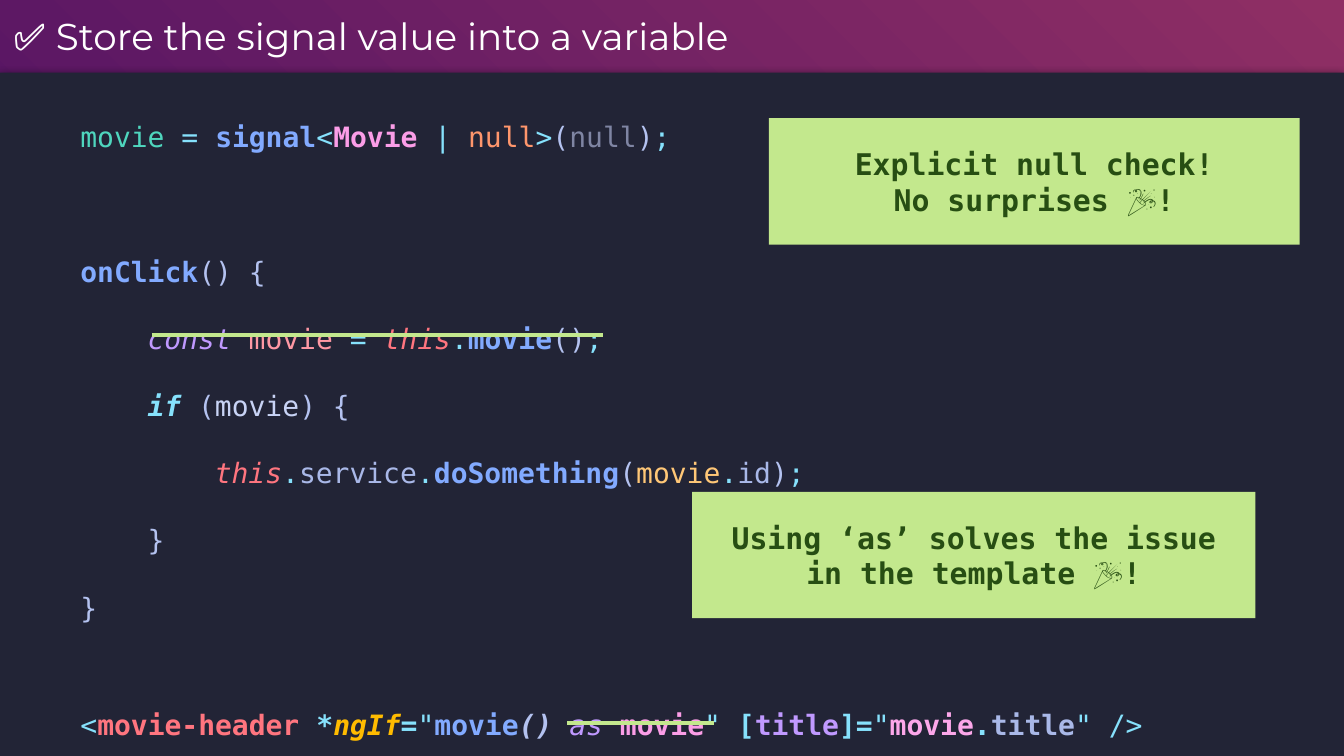
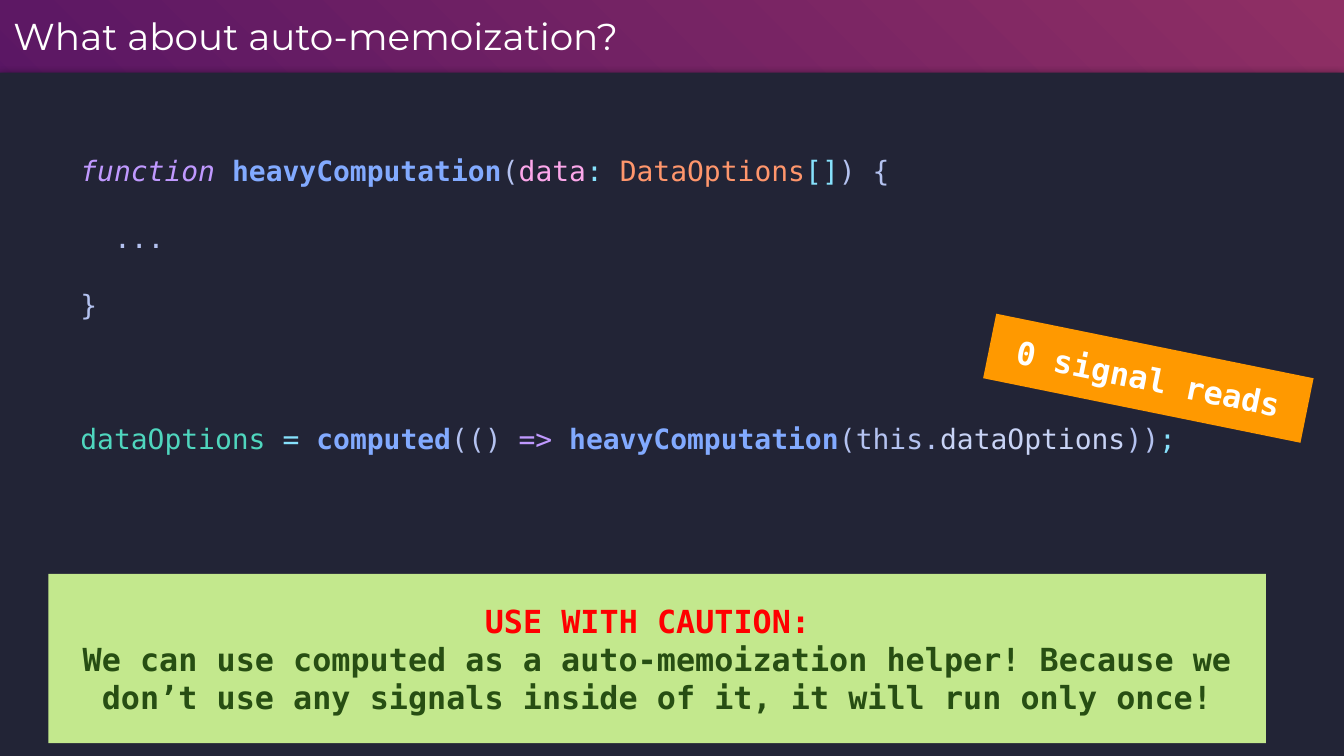
from lxml import etree
from pptx import Presentation
from pptx.dml.color import RGBColor
from pptx.enum.shapes import MSO_CONNECTOR, MSO_SHAPE
from pptx.enum.text import MSO_ANCHOR, MSO_AUTO_SIZE, PP_ALIGN
from pptx.oxml import parse_xml
from pptx.oxml.ns import nsdecls, qn
from pptx.util import Inches, Pt

RECTANGLE = MSO_SHAPE.RECTANGLE
STRAIGHT = MSO_CONNECTOR.STRAIGHT
TOP, MIDDLE = MSO_ANCHOR.TOP, MSO_ANCHOR.MIDDLE
LEFT, CENTER = PP_ALIGN.LEFT, PP_ALIGN.CENTER
NO_AUTOFIT = MSO_AUTO_SIZE.NONE

COLORS = {
    "white": "FFFFFF", "panel": "222436", "lime": "C3E88D", "forest": "274E13",
    "warning": "FF0000", "orange": "FF9900",
    # code tokens
    "teal": "4FD6BE", "cyan": "86E1FC", "blue": "82AAFF", "pink": "FB9DE7",
    "rose": "FCA7EA", "coral": "FF966C", "lavender": "B4C2F0", "pale": "C8D3F5",
    "grey": "7F85A3", "purple": "C099FF", "salmon": "FF98A4", "red": "FF757F",
    "steel": "A9B8E8", "yellow": "FFC777", "amber": "FFBB00",
}
GRADIENT = [(0, "F35C65"), (0, "8F2F64"), (64, "5D1864"), (100, "2B0163")]
TITLE_FONT, CODE_FONT = "Montserrat", "DejaVu Sans Mono"
WIDTH, BAND = 10, 0.54
HEIGHT = WIDTH * 9 / 16
MARGIN = 0.1
CODE_SIZE, CODE_LINE = 15, 36  # points; CODE_LINE is one double-spaced line


class Deck:
    """Shared style plus the slide being built."""

    def __init__(self):
        self.prs = Presentation()
        self.prs.slide_width = Inches(WIDTH)
        self.prs.slide_height = Inches(HEIGHT)
        self.slide = None
        self.set_background()

    def set_background(self):
        master = self.prs.slide_master
        master.background.fill.solid()
        stops = "".join(
            f'<a:gs pos="{pos * 1000}"><a:srgbClr val="{color}"/></a:gs>'
            for pos, color in GRADIENT)
        gradient = parse_xml(
            f'<a:gradFill {nsdecls("a")}><a:gsLst>{stops}</a:gsLst>'
            '<a:path path="circle"><a:fillToRect l="100000" b="100000"/></a:path>'
            '</a:gradFill>')
        properties = master.element.find(".//" + qn("p:bgPr"))
        properties.replace(properties[0], gradient)

    def frame(self, shape, anchor, top=MARGIN):
        frame = shape.text_frame
        frame.auto_size = NO_AUTOFIT
        frame.word_wrap = True
        frame.vertical_anchor = anchor
        frame.margin_left = frame.margin_right = frame.margin_bottom = Inches(MARGIN)
        frame.margin_top = Inches(top)
        return frame

    def paragraph(self, frame, index, align):
        paragraph = frame.add_paragraph() if index else frame.paragraphs[0]
        paragraph.alignment = align
        return paragraph

    def run(self, paragraph, text, color, size, font=CODE_FONT, flags=""):
        run = paragraph.add_run()
        run.text = text
        run.font.name = font
        run.font.size = Pt(size)
        run.font.bold = "b" in flags
        run.font.italic = "i" in flags
        run.font.color.rgb = RGBColor.from_string(COLORS[color])

    def rectangle(self, left, top, width, height, fill):
        box = self.slide.shapes.add_shape(
            RECTANGLE, Inches(left), Inches(top), Inches(width), Inches(height))
        box.shadow.inherit = False
        box.fill.solid()
        box.fill.fore_color.rgb = RGBColor.from_string(COLORS[fill])
        box.line.fill.background()
        return box

    def new_slide(self, heading):
        self.slide = self.prs.slides.add_slide(self.prs.slide_layouts[5])
        title = self.slide.shapes.title
        title.left, title.top = Inches(0), Inches(0)
        title.width, title.height = Inches(9.01), Inches(BAND)
        paragraph = self.paragraph(self.frame(title, TOP), 0, LEFT)
        self.run(paragraph, heading, "white", 20, TITLE_FONT)

    def code(self, lines, height, top=MARGIN):
        """Each line: (indent level, blank lines before it, tokens)."""
        panel = self.rectangle(0, BAND, WIDTH, height, "panel")
        effects = panel.element.spPr.find(qn("a:effectLst"))
        effects.append(parse_xml(
            f'<a:outerShdw {nsdecls("a")} blurRad="{Pt(4.5)}" dist="{Pt(1.5)}" '
            'dir="5400000" algn="t" rotWithShape="0"><a:srgbClr val="000000">'
            '<a:alpha val="50000"/></a:srgbClr></a:outerShdw>'))
        frame = self.frame(panel, TOP, top)
        for index, (level, blanks, tokens) in enumerate(lines):
            paragraph = self.paragraph(frame, index, LEFT)
            paragraph._p.get_or_add_pPr().set("marL", str(Inches(level / 2)))
            paragraph.line_spacing = 2.0
            if blanks:
                paragraph.space_before = Pt(blanks * CODE_LINE)
            for text, color, *flags in tokens:
                self.run(paragraph, text, color, CODE_SIZE, flags="".join(flags))

    def callout(self, left, top, width, height, lines, size=16, fill="lime", rotation=0):
        box = self.rectangle(left, top, width, height, fill)
        box.rotation = rotation
        frame = self.frame(box, MIDDLE)
        for index, (text, color) in enumerate(lines):
            self.run(self.paragraph(frame, index, CENTER), text, color, size, flags="b")

    def strike(self, start, end, y):
        line = self.slide.shapes.add_connector(
            STRAIGHT, Inches(start), Inches(y), Inches(end), Inches(y))
        line.line.color.rgb = RGBColor.from_string(COLORS["lime"])
        line.line.width = Pt(2.25)
        etree.SubElement(line.element.spPr, qn("a:effectLst"))


SIGNAL_CODE = [
    (1, 0, [("movie", "teal"), (" = ", "cyan"), ("signal", "blue", "b"), ("<", "cyan"),
            ("Movie", "pink", "b"), (" | ", "cyan"), ("null", "coral"), (">", "cyan"),
            ("(", "lavender"), ("null", "grey"), (")", "lavender"), (";", "cyan")]),
    (1, 1, [("onClick", "blue", "b"), ("() {", "lavender")]),
    (2, 0, [("const", "purple", "i"), (" ", "lavender"), ("movie", "salmon"),
            (" = ", "cyan"), ("this", "red", "i"), (".", "cyan"),
            ("movie", "blue", "b"), ("()", "lavender"), (";", "cyan")]),
    (2, 0, [("if", "cyan", "bi"), (" (", "lavender"), ("movie", "pale"),
            (") {", "lavender")]),
    (3, 0, [("this", "red", "i"), (".", "cyan"), ("service", "steel"), (".", "cyan"),
            ("doSomething", "blue", "b"), ("(", "lavender"), ("movie", "yellow"),
            (".", "cyan"), ("id", "steel"), (")", "lavender"), (";", "cyan")]),
    (2, 0, [("}", "lavender")]),
    (1, 0, [("}", "lavender")]),
    (1, 0.75, [("<", "cyan"), ("movie-header", "red", "b"), (" ", "red"),
               ("*", "cyan", "bi"), ("ngIf", "amber", "bi"), ("=", "cyan", "bi"),
               ('"', "cyan"), ("movie", "blue", "b"), ("()", "lavender", "bi"),
               (" ", "amber", "bi"), ("as", "purple", "i"), (" ", "amber", "bi"),
               ("movie", "pink", "b"), ('" ', "cyan"), ("[", "cyan", "b"),
               ("title", "purple", "b"), ("]=", "cyan", "b"), ('"', "cyan"),
               ("movie", "rose", "b"), (".", "cyan", "b"), ("title", "steel", "b"),
               ('" />', "cyan")]),
]

MEMO_CODE = [
    (1, 0, [("function", "purple", "i"), (" ", "pale"), ("heavyComputation", "blue", "b"),
            ("(", "lavender"), ("data", "rose"), (": ", "cyan"),
            ("DataOptions", "coral"), ("[]", "cyan"), (") {", "lavender")]),
    (1, 0, [("  ...", "lavender")]),
    (1, 0, [("}", "lavender")]),
    (1, 1, [("dataOptions", "teal"), (" = ", "cyan"), ("computed", "blue", "b"),
            ("(() ", "lavender"), ("=>", "purple", "i"), (" ", "pale"),
            ("heavyComputation", "blue", "b"), ("(this.", "lavender"),
            ("dataOptions", "pale"), ("))", "lavender"), (";", "cyan")]),
]


def main():
    deck = Deck()

    # Storing the signal value
    deck.new_slide("✅ Store the signal value into a variable")
    deck.code(SIGNAL_CODE, 5.38)
    deck.callout(5.72, 0.88, 3.95, 0.94, [
        ("Explicit null check!", "forest"), ("No surprises 🎉!", "forest")])
    deck.strike(1.13, 4.49, 2.49)
    deck.strike(4.22, 5.31, 5.38)
    deck.callout(5.15, 3.66, 4.19, 0.94, [
        ("Using ‘as’ solves the issue in the template 🎉!", "forest")])

    # Auto-memoization
    deck.new_slide("What about auto-memoization?")
    deck.code(MEMO_CODE, 5.5, top=0.35)
    deck.callout(0.36, 4.27, 9.06, 1.26, [
        ("USE WITH CAUTION: ", "warning"),
        ("We can use computed as a auto-memoization helper! Because we don’t use "
         "any signals inside of it, it will run only once!", "forest")], size=17)
    deck.callout(7.34, 2.57, 2.41, 0.49, [("0 signal reads", "white")],
                 size=17, fill="orange", rotation=11.5)

    deck.prs.save("out.pptx")


if __name__ == "__main__":
    main()
